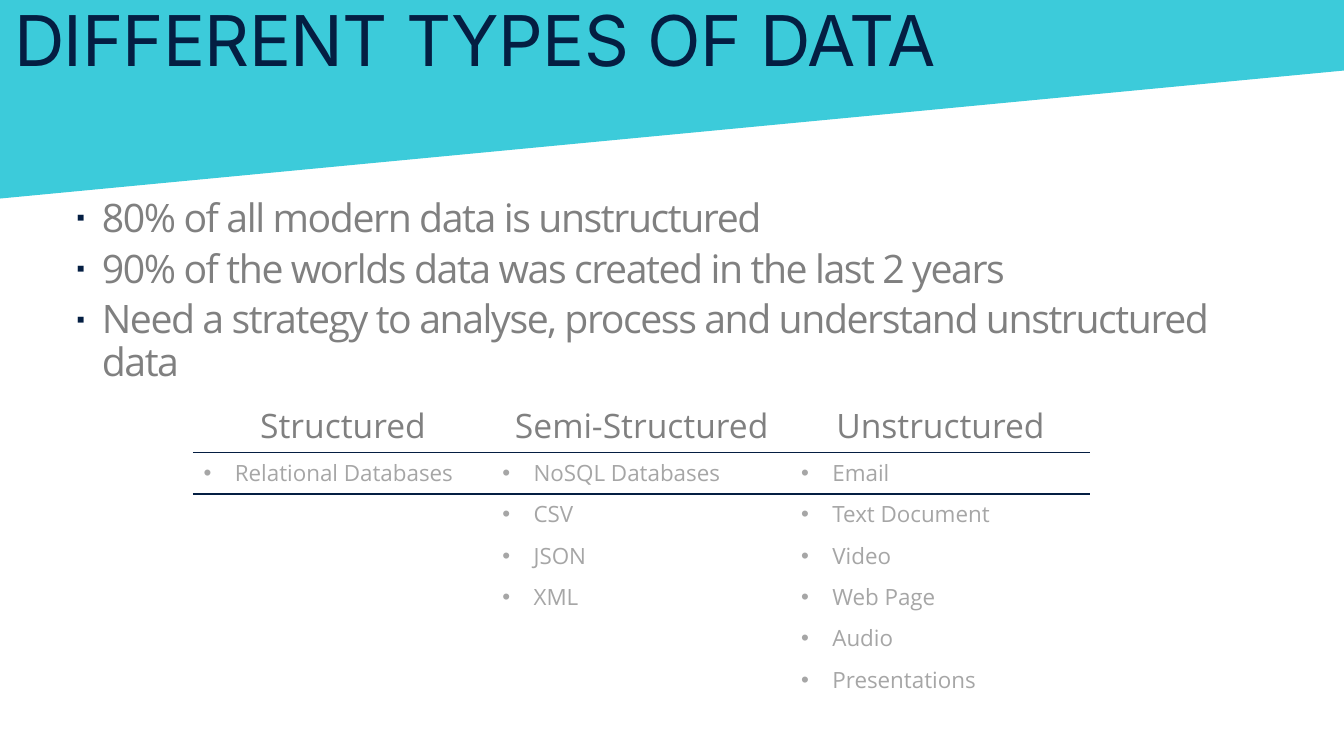
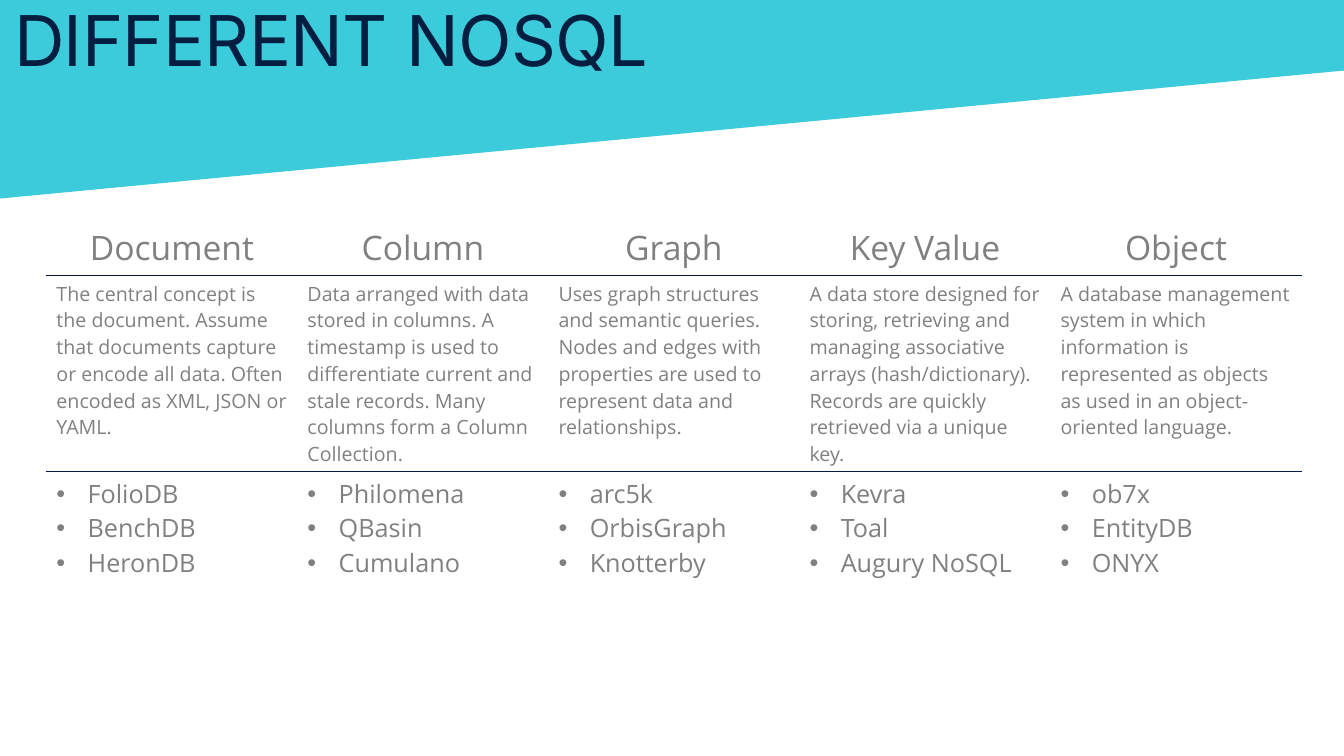
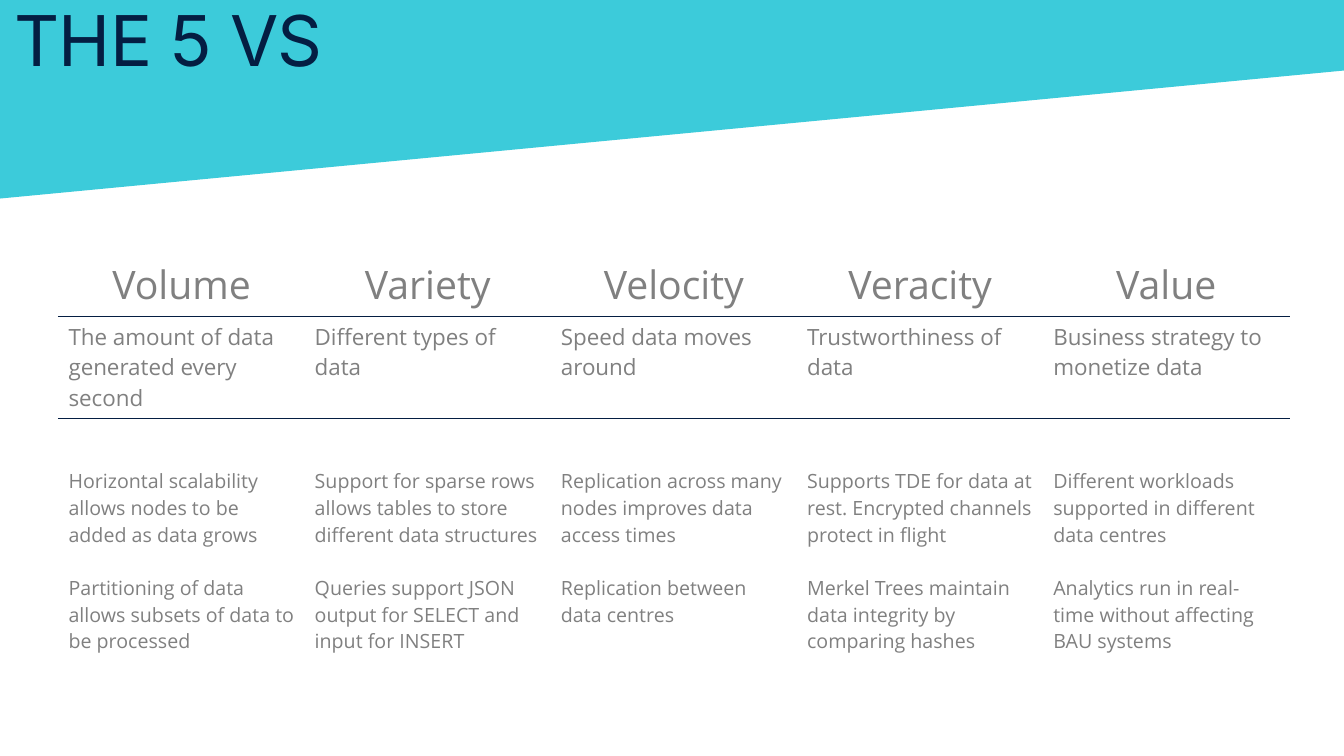
from lxml.etree import SubElement
from pptx import Presentation
from pptx.dml.color import RGBColor
from pptx.enum.text import MSO_ANCHOR as Anchor, PP_ALIGN as Align
from pptx.oxml.ns import qn
from pptx.util import Inches, Pt

WIDE, HIGH = 13.33, 7.5
NAVY, CYAN, GREY, PALE = "041E42", "3CCBDA", "808080", "A6A6A6"
HEAD, BODY = "Inter", "Open Sans"
DOT = {"mark": "•", "dent": 0.31}


def paint(color):
    """Turn a hex string into a colour."""
    return RGBColor.from_string(color)


def bullet(para, mark, dent, tint=None, scale=None):
    """Give a paragraph a bullet with a hanging indent."""
    props = para._p.get_or_add_pPr()
    props.set("marL", str(Inches(dent)))
    props.set("indent", str(-Inches(dent)))
    if tint:
        SubElement(SubElement(props, qn("a:buClr")), qn("a:srgbClr"), val=tint)
    if scale:
        SubElement(props, qn("a:buSzPct"), val=str(scale * 1000))
    SubElement(props, qn("a:buFont"), typeface="Arial")
    SubElement(props, qn("a:buChar"), char=mark)


def write(frame, text, size=14, font=BODY, color=GREY, align=None, track=0,
          lead=None, after=0, gap=0, mark=None, dent=0, tint=None, scale=None):
    """Fill a text frame, one paragraph for each line of text."""
    for i, line in enumerate(text.split("\n")):
        para = frame.add_paragraph() if i else frame.paragraphs[0]
        para.alignment = align
        para.line_spacing = lead
        para.space_after = Pt(after)
        para.space_before = Pt(gap if i else 0)
        if mark:
            bullet(para, mark, dent, tint, scale)
        run = para.add_run()
        run.text = line
        run.font.name = font
        run.font.size = Pt(size)
        run.font.color.rgb = paint(color)
        if track:
            run._r.get_or_add_rPr().set("spc", str(int(track * 100)))


def label(slide, box, text, wrap=True, **style):
    """Add a text box without insets."""
    frame = slide.shapes.add_textbox(*map(Inches, box)).text_frame
    frame.margin_left = frame.margin_right = 0
    frame.margin_top = frame.margin_bottom = 0
    frame.vertical_anchor = Anchor.TOP
    frame.word_wrap = wrap
    write(frame, text, **style)


def band(slide):
    """Draw the slanted band along the top."""
    pen = slide.shapes.build_freeform(Inches(WIDE), Inches(0.7))
    edge = [(0, 1.97), (0, 0), (WIDE, 0)]
    pen.add_line_segments([(Inches(x), Inches(y)) for x, y in edge])
    shape = pen.convert_to_shape()
    shape.shadow.inherit = False
    shape.fill.solid()
    shape.fill.fore_color.rgb = paint(CYAN)
    shape.line.fill.background()


def page(deck, title):
    """Add a slide with its band and title."""
    slide = deck.slides.add_slide(deck.slide_layouts[6])
    band(slide)
    label(slide, (0.14, 0.06, 12.44, 0.64), title, wrap=False, size=50,
          font=HEAD, color=NAVY, track=-0.5, lead=0.9)
    return slide


def rule(cell, side):
    """Draw a thin line on one side of a cell."""
    line = SubElement(cell._tc.get_or_add_tcPr(), qn("a:ln" + side),
                      w=str(Pt(1)))
    fill = SubElement(line, qn("a:solidFill"))
    SubElement(fill, qn("a:srgbClr"), val=NAVY)


def sheet(slide, left, top, width, rows, tall, looks):
    """Add an open table with rules below its first two rows."""
    box = map(Inches, (left, top, width, sum(tall)))
    table = slide.shapes.add_table(len(rows), len(rows[0]), *box).table
    table.first_row = table.horz_banding = False
    for r, (row, high, look) in enumerate(zip(rows, tall, looks)):
        table.rows[r].height = Inches(high)
        for c, text in enumerate(row):
            cell = table.cell(r, c)
            if r in (1, 2):
                rule(cell, "T")
            if r in (0, 1):
                rule(cell, "B")
            cell.fill.background()
            if text:
                write(cell.text_frame, text, **look)


def kinds(deck):
    """Build the slide on types of data."""
    slide = page(deck, "DIFFERENT TYPES OF DATA")
    label(slide, (0.76, 1.97, 11.81, 5.12),
          "80% of all modern data is unstructured\n"
          "90% of the worlds data was created in the last 2 years\n"
          "Need a strategy to analyse, process and understand "
          "unstructured data",
          size=28, track=-1, lead=0.9, after=6,
          mark="▪", dent=0.25, tint=NAVY, scale=60)
    rows = [
        ("Structured", "Semi-Structured", "Unstructured"),
        ("Relational Databases", "NoSQL Databases", "Email"),
        ("", "CSV", "Text Document"),
        ("", "JSON", "Video"),
        ("", "XML", "Web Page"),
        ("", "", "Audio"),
        ("", "", "Presentations"),
    ]
    item = dict(DOT, size=16, color=PALE)
    sheet(slide, 1.92, 3.94, 8.89, rows, [0.55] + [0.41] * 6,
          [{"size": 24, "align": Align.CENTER}] + [item] * 6)


def stores(deck):
    """Build the slide on NoSQL databases."""
    slide = page(deck, "DIFFERENT NOSQL")
    rows = [
        ("Document", "Column", "Graph", "Key Value", "Object"),
        ("The central concept is the document. Assume that documents capture "
         "or encode all data. Often encoded as XML, JSON or YAML.",
         "Data arranged with data stored in columns. A timestamp is used to "
         "differentiate current and stale records. Many columns form a "
         "Column Collection.",
         "Uses graph structures and semantic queries. Nodes and edges with "
         "properties are used to represent data and relationships.",
         "A data store designed for storing, retrieving and managing "
         "associative arrays (hash/dictionary). Records are quickly "
         "retrieved via a unique key.",
         "A database management system in which information is represented "
         "as objects as used in an object-oriented language."),
        ("FolioDB\nBenchDB\nHeronDB", "Philomena\nQBasin\nCumulano",
         "arc5k\nOrbisGraph\nKnotterby", "Kevra\nToal\nAugury NoSQL",
         "ob7x\nEntityDB\nONYX"),
    ]
    sheet(slide, 0.46, 2.18, 12.45, rows, [0.55, 1.95, 1.12],
          [{"size": 24, "align": Align.CENTER}, {}, dict(DOT, size=18)])


def traits(deck):
    """Build the slide on the five Vs."""
    slide = page(deck, "THE 5 VS")
    rows = [
        ("Volume", "Variety", "Velocity", "Veracity", "Value"),
        ("The amount of data generated every second",
         "Different types of data", "Speed data moves around",
         "Trustworthiness of data", "Business strategy to monetize data"),
        ("",) * 5,
        ("Horizontal scalability allows nodes to be added as data grows\n"
         "Partitioning of data allows subsets of data to be processed",
         "Support for sparse rows allows tables to store different data "
         "structures\n"
         "Queries support JSON output for SELECT and input for INSERT",
         "Replication across many nodes improves data access times\n"
         "Replication between data centres",
         "Supports TDE for data at rest. Encrypted channels protect in "
         "flight\n"
         "Merkel Trees maintain data integrity by comparing hashes",
         "Different workloads supported in different data centres\n"
         "Analytics run in real-time without affecting BAU systems"),
    ]
    sheet(slide, 0.58, 2.51, 12.21, rows, [0.63, 1.01, 0.44, 1.95],
          [{"size": 28, "align": Align.CENTER}, {"size": 16}, {},
           {"gap": 19}])


def main():
    """Build and save the deck."""
    deck = Presentation()
    deck.slide_width, deck.slide_height = Inches(WIDE), Inches(HIGH)
    for build in (kinds, stores, traits):
        build(deck)
    deck.save("out.pptx")


main()
